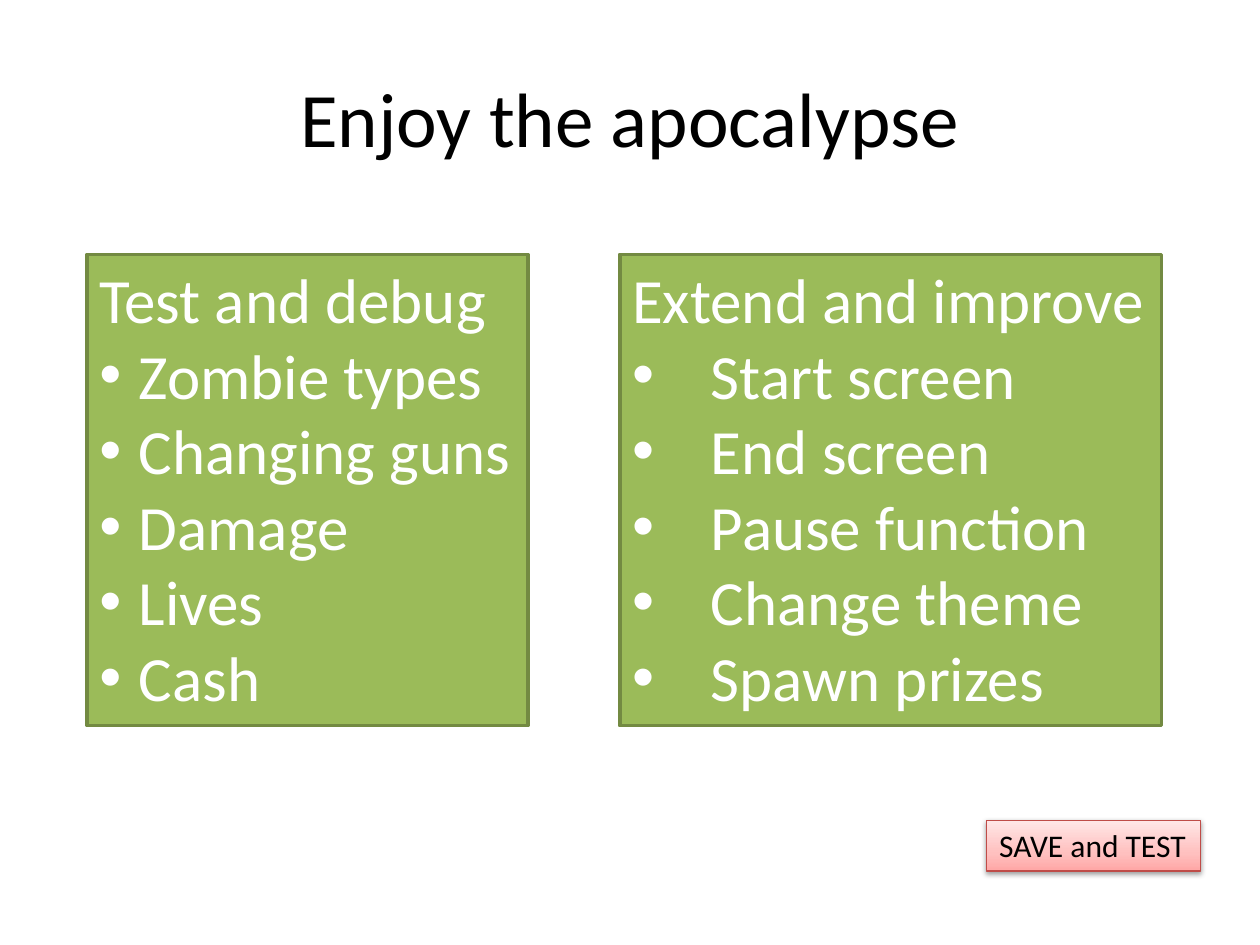
from dataclasses import dataclass

from lxml.etree import SubElement
from pptx import Presentation
from pptx.dml.color import RGBColor as RGB
from pptx.enum.shapes import MSO_SHAPE as SHAPE
from pptx.enum.text import MSO_ANCHOR as ANCHOR, MSO_AUTO_SIZE as AUTO, PP_ALIGN as ALIGN
from pptx.oxml.ns import qn
from pptx.util import Pt


@dataclass(frozen=True)
class Theme:
    font: str = "Calibri"
    black: str = "000000"
    white: str = "FFFFFF"
    green: str = "9BBB59"
    green_edge: str = "738A42"
    red_edge: str = "BF4C48"
    red_stops: tuple = ((0, "FFA6A5"), (35, "FFC0BF"), (100, "FFE7E7"))
    title_size: int = 44
    list_size: int = 36
    label_size: int = 18


@dataclass(frozen=True)
class Box:
    left: float
    top: float
    width: float
    height: float

    def lengths(self) -> tuple:
        return Pt(self.left), Pt(self.top), Pt(self.width), Pt(self.height)


@dataclass(frozen=True)
class Panel:
    box: Box
    heading: str
    items: tuple
    indent: float


THEME = Theme()
LIST_TOP, LIST_HEIGHT = 145.4, 269.3
TITLE_BOX = Box(36, 21.6, 648, 90)
LABEL_BOX = Box(563.8, 468.7, 122.4, 29.1)
PANELS = (
    Panel(Box(49.7, LIST_TOP, 252, LIST_HEIGHT), "Test and debug",
          ("Zombie types", "Changing guns", "Damage", "Lives", "Cash"), 22.5),
    Panel(Box(354.2, LIST_TOP, 309.6, LIST_HEIGHT), "Extend and improve",
          ("Start screen", "End screen", "Pause function", "Change theme", "Spawn prizes"), 45),
)


def write(p, text: str, *, size: float, color: str, align=ALIGN.LEFT, indent: float = 0) -> None:
    """Fill a paragraph; a positive indent makes it a hanging bullet."""
    p.alignment = align
    r = p.add_run()
    r.text = text
    r.font.name = THEME.font
    r.font.size = Pt(size)
    r.font.color.rgb = RGB.from_string(color)
    if indent:
        pPr = p._p.get_or_add_pPr()
        pPr.set("marL", str(Pt(indent)))
        pPr.set("indent", str(-Pt(indent)))
        SubElement(pPr, qn("a:buFont"), typeface="Arial")
        SubElement(pPr, qn("a:buChar"), char="•")


def add_box(s, box: Box, edge: str, edge_width: float):
    """Add an outlined rectangle that grows with its unwrapped text."""
    sp = s.shapes.add_shape(SHAPE.RECTANGLE, *box.lengths())
    sp.shadow.inherit = False
    sp.line.color.rgb = RGB.from_string(edge)
    sp.line.width = Pt(edge_width)
    tf = sp.text_frame
    tf.word_wrap = False
    tf.auto_size = AUTO.SHAPE_TO_FIT_TEXT
    tf.vertical_anchor = ANCHOR.TOP
    return sp


def add_color(parent, color: str):
    return SubElement(parent, qn("a:srgbClr"), val=color)


def set_gradient(sp, stops: tuple, angle: float) -> None:
    sp.fill.gradient()
    sp.fill.gradient_angle = angle
    stop_list = sp._element.spPr.find(".//" + qn("a:gsLst"))
    for old in list(stop_list):
        stop_list.remove(old)
    for percent, color in stops:
        add_color(SubElement(stop_list, qn("a:gs"), pos=str(percent * 1000)), color)


def add_shadow(sp, color: str, *, blur: float, distance: float, opacity: int) -> None:
    """Cast a soft shadow straight down."""
    effects = sp._element.spPr.find(qn("a:effectLst"))
    shadow = SubElement(effects, qn("a:outerShdw"), blurRad=str(Pt(blur)),
                        dist=str(Pt(distance)), dir="5400000", rotWithShape="0")
    SubElement(add_color(shadow, color), qn("a:alpha"), val=str(opacity * 1000))


def add_title(s, text: str) -> None:
    title = s.shapes.title
    title.left, title.top, title.width, title.height = TITLE_BOX.lengths()
    tf = title.text_frame
    tf.vertical_anchor = ANCHOR.MIDDLE
    write(tf.paragraphs[0], text, size=THEME.title_size, color=THEME.black, align=ALIGN.CENTER)


def add_label(s, text: str) -> None:
    sp = add_box(s, LABEL_BOX, THEME.red_edge, 0.75)
    set_gradient(sp, THEME.red_stops, 90)
    add_shadow(sp, THEME.black, blur=3.1, distance=1.6, opacity=38)
    write(sp.text_frame.paragraphs[0], text, size=THEME.label_size, color=THEME.black)


def add_panel(s, panel: Panel) -> None:
    sp = add_box(s, panel.box, THEME.green_edge, 2)
    sp.fill.solid()
    sp.fill.fore_color.rgb = RGB.from_string(THEME.green)
    tf = sp.text_frame
    style = dict(size=THEME.list_size, color=THEME.white)
    write(tf.paragraphs[0], panel.heading, **style)
    for item in panel.items:
        write(tf.add_paragraph(), item, indent=panel.indent, **style)


def main() -> None:
    prs = Presentation()
    prs.slide_width, prs.slide_height = Pt(720), Pt(540)
    s = prs.slides.add_slide(prs.slide_layouts.get_by_name("Title Only"))
    add_title(s, "Enjoy the apocalypse")
    add_label(s, "SAVE and TEST")
    for panel in PANELS:
        add_panel(s, panel)
    prs.save("out.pptx")


if __name__ == "__main__":
    main()
